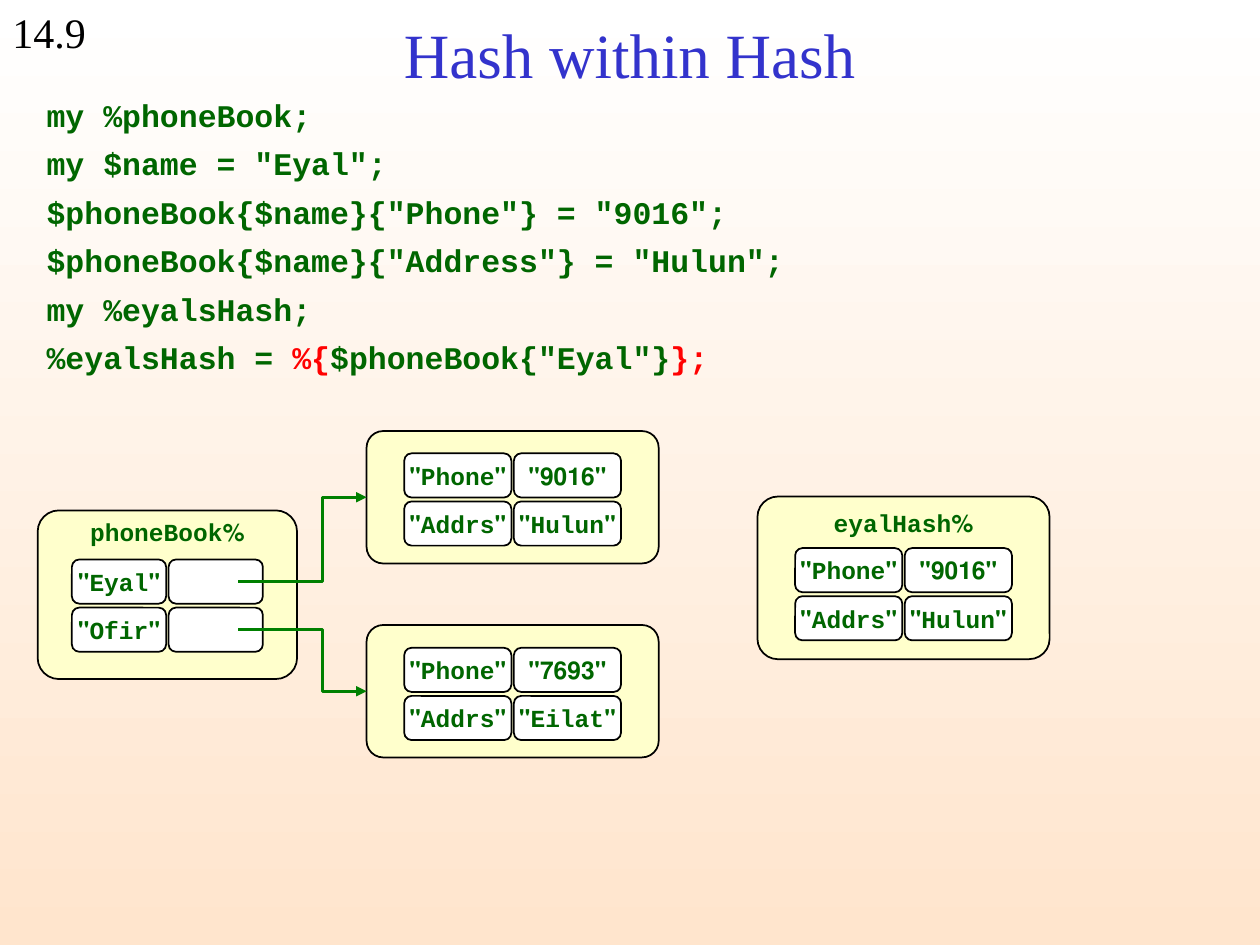
from lxml.etree import SubElement
from pptx import Presentation
from pptx.dml.color import RGBColor
from pptx.enum.shapes import MSO_CONNECTOR, MSO_SHAPE
from pptx.enum.text import MSO_ANCHOR, PP_ALIGN
from pptx.oxml.ns import qn
from pptx.util import Cm, Pt

COLORS = {name: RGBColor.from_string(value) for name, value in {
    "black": "000000", "white": "FFFFFF", "peach": "FFE5CD", "title": "3333CC",
    "code": "006600", "red": "FF0101", "panel": "FFFFCC", "arrow": "008000",
}.items()}
CODE = {"name": "Courier New", "size": Pt(18), "bold": True, "color": "code"}
LABEL = {**CODE, "size": Pt(14)}
RED = {**CODE, "color": "red"}
NUMBER = {"name": "Times New Roman", "size": Pt(24), "color": "black"}
TITLE = {**NUMBER, "size": Pt(36), "color": "title"}


def add_text(para, text, style, right_to_left=False):
    """Add a formatted run; labels are centred and read right to left."""
    span = para.add_run()
    span.text = text
    for key, value in style.items():
        if key == "color":
            span.font.color.rgb = COLORS[value]
        else:
            setattr(span.font, key, value)
    if right_to_left:
        para.alignment = PP_ALIGN.CENTER
        para._p.get_or_add_pPr().set("rtl", "1")


def add_rounded(left, top, width, height, fill, corner):
    box = slide.shapes.add_shape(MSO_SHAPE.ROUNDED_RECTANGLE,
                                 Cm(left), Cm(top), Cm(width), Cm(height))
    box.adjustments[0] = corner
    box.shadow.inherit = False
    box.fill.solid()
    box.fill.fore_color.rgb = COLORS[fill]
    box.line.color.rgb = COLORS["black"]
    box.line.width = Pt(1)
    return box


deck = Presentation()
deck.slide_width, deck.slide_height = Cm(25.4), Cm(19.05)
slide = deck.slides.add_slide(deck.slide_layouts[5])

# Background
background = slide.background.fill
background.gradient()
background.gradient_angle = 270
for stop, color in zip(background.gradient_stops, ("white", "peach")):
    stop.color.rgb = COLORS[color]

# Slide number
number_box = slide.shapes.add_textbox(Cm(0), Cm(0), Cm(2.9), Cm(1.27))
number_box.text_frame.word_wrap = True
add_text(number_box.text_frame.paragraphs[0], "14.9", NUMBER)

# Title
title = slide.shapes.title
title.left, title.top, title.width, title.height = Cm(1.9), Cm(0.23), Cm(21.59), Cm(1.7)
title.text_frame.vertical_anchor = MSO_ANCHOR.MIDDLE
title_para = title.text_frame.paragraphs[0]
title_para.alignment = PP_ALIGN.CENTER
add_text(title_para, "Hash within Hash", TITLE)

# Code
code_lines = [
    [("my %phoneBook;", CODE)],
    [('my $name = "Eyal";', CODE)],
    [('$phoneBook{$name}{"Phone"} = "9016";', CODE)],
    [('$phoneBook{$name}{"Address"} = "Hulun";', CODE)],
    [("my %eyalsHash;", CODE)],
    [("%eyalsHash = ", CODE), ("%{", RED), ('$phoneBook{"Eyal"}', CODE), ("};", RED)],
]
code_frame = slide.shapes.add_textbox(Cm(0.69), Cm(1.6), Cm(24.61), Cm(10.41)).text_frame
code_frame.word_wrap = True
for index, line in enumerate(code_lines):
    para = code_frame.add_paragraph() if index else code_frame.paragraphs[0]
    para.line_spacing = 1.28
    for text, style in line:
        add_text(para, text, style)

# Hashes: panel box, name and its top, first row top, cell width, rows
hashes = [
    ((15.27, 10.01, 5.89, 3.28), "%eyalHash", 10.11, 11.05, 2.16,
     [('"Phone"', '"9016"'), ('"Addrs"', '"Hulun"')]),
    ((0.76, 10.29, 5.23, 3.4), "%phoneBook", 10.29, 11.28, 1.9,
     [('"Eyal"', ""), ('"Ofir"', "")]),
    ((7.39, 8.69, 5.89, 2.67), "", 0, 9.14, 2.16,
     [('"Phone"', '"9016"'), ('"Addrs"', '"Hulun"')]),
    ((7.39, 12.6, 5.89, 2.67), "", 0, 13.06, 2.16,
     [('"Phone"', '"7693"'), ('"Addrs"', '"Eilat"')]),
]
cell_height, row_step, column_gap, label_width = 0.89, 0.97, 0.05, 5.84
panels = []
for place, name, name_top, first_top, cell_width, rows in hashes:
    panels.append(add_rounded(*place, "panel", 0.126))
    center = place[0] + place[2] / 2
    if name:
        label = slide.shapes.add_textbox(Cm(center - label_width / 2), Cm(name_top),
                                         Cm(label_width), Cm(0.86))
        label.text_frame.word_wrap = True
        add_text(label.text_frame.paragraphs[0], name, LABEL, right_to_left=True)
    cell_lefts = (center - column_gap / 2 - cell_width, center + column_gap / 2)
    for row, texts in enumerate(rows):
        for left, text in zip(cell_lefts, texts):
            cell = add_rounded(left, first_top + row * row_step,
                               cell_width, cell_height, "white", 0.167)
            if text:
                cell.text_frame.word_wrap = False
                cell.text_frame.vertical_anchor = MSO_ANCHOR.MIDDLE
                add_text(cell.text_frame.paragraphs[0], text, LABEL, right_to_left=True)

# Arrows from the phone book to the inner hashes
for start_top, panel in zip((11.72, 12.69), panels[2:]):
    arrow = slide.shapes.add_connector(MSO_CONNECTOR.ELBOW, Cm(4.8), Cm(start_top),
                                       panel.left, panel.top + panel.height // 2)
    arrow.end_connect(panel, 1)
    arrow.line.color.rgb = COLORS["arrow"]
    arrow.line.width = Pt(1.5)
    properties = arrow._element.spPr
    bend = properties.find(qn("a:prstGeom")).find(qn("a:avLst"))
    SubElement(bend, qn("a:gd"), name="adj1", fmla="val 65500")
    SubElement(properties.find(qn("a:ln")), qn("a:tailEnd"), type="triangle")
    SubElement(properties, qn("a:effectLst"))

deck.save("out.pptx")
